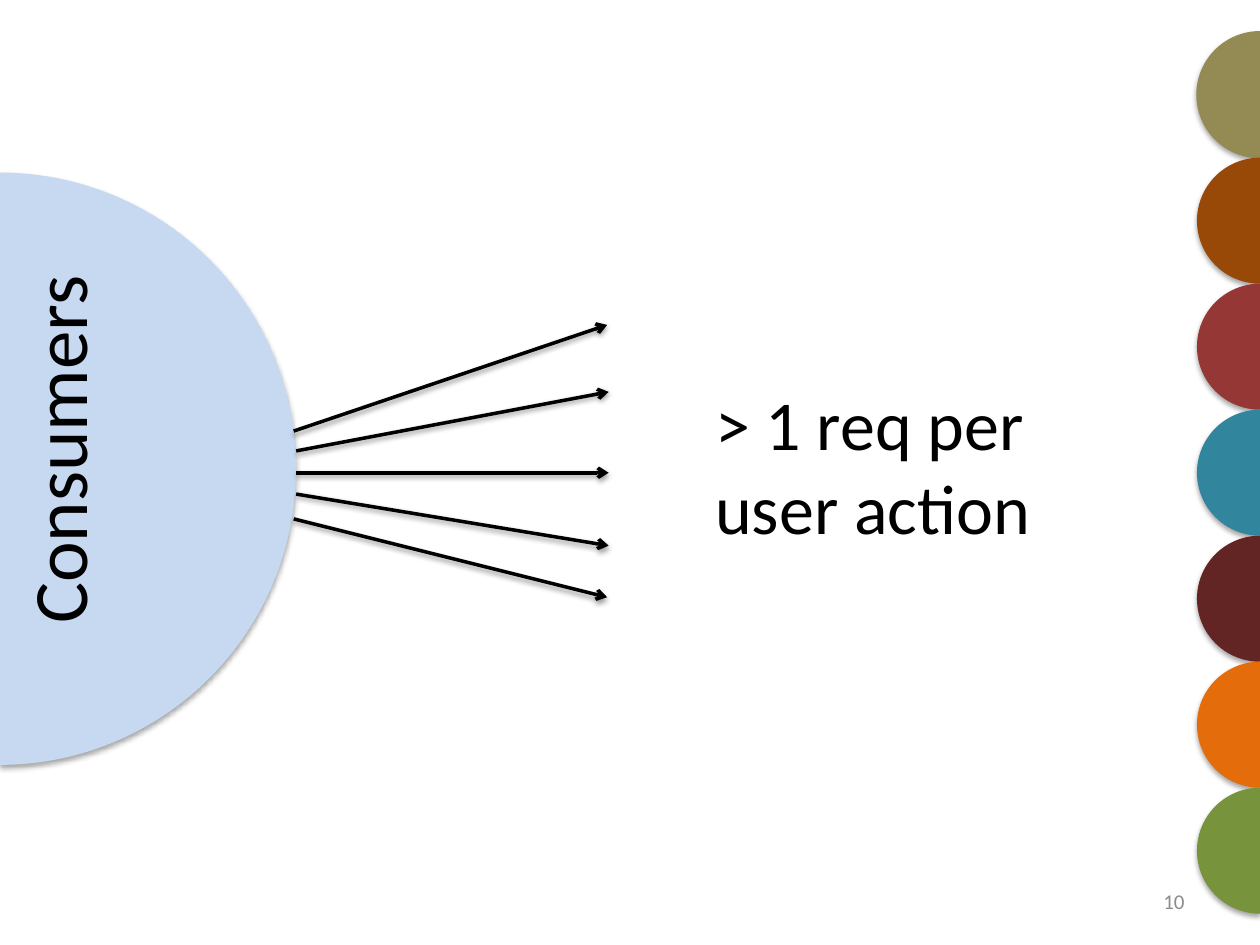
from dataclasses import dataclass

from lxml.etree import SubElement
from pptx import Presentation
from pptx.dml.color import RGBColor
from pptx.enum.shapes import MSO_CONNECTOR, MSO_SHAPE
from pptx.enum.text import MSO_ANCHOR, PP_ALIGN
from pptx.oxml.ns import qn
from pptx.slide import Slide
from pptx.util import Cm, Pt

COLORS = {
    "black": "000000",
    "gray": "8C8C8C",
    "consumers": "C6D9F1",
    "khaki": "948A54",
    "brown": "984807",
    "red": "953735",
    "teal": "31859C",
    "maroon": "632523",
    "orange": "E46C0A",
    "green": "77933C",
}
PRODUCERS = ["khaki", "brown", "red", "teal", "maroon", "orange", "green"]
OUTLINED = "khaki"
DIAMETER = 2.54
DOWN, UP = 54, 162


@dataclass
class HalfDisc:
    left: float
    top: float
    size: float
    start: float
    end: float
    color: str
    outlined: bool = False


@dataclass
class Arrow:
    x1: float
    y1: float
    x2: float
    y2: float


@dataclass
class Label:
    text: str
    left: float
    top: float
    width: float
    height: float
    size: int
    color: str = "black"
    align: PP_ALIGN = PP_ALIGN.LEFT
    anchor: MSO_ANCHOR = MSO_ANCHOR.TOP
    wrap: bool = True
    vert: str = "horz"


ARROWS = [
    Arrow(5.92, 8.69, 12.24, 6.55),
    Arrow(5.97, 9.09, 12.27, 7.9),
    Arrow(5.97, 9.53, 12.27, 9.53),
    Arrow(5.97, 9.96, 12.27, 11),
    Arrow(5.92, 10.46, 12.24, 12.04),
]
LABELS = [
    Label("Consumers", 0.08, 5.46, 2.39, 7.37, 44, wrap=False, vert="vert270"),
    Label("> 1 req per user action", 14.17, 7.54, 7.19, 3.68, 40),
    Label("10", 18.21, 17.65, 5.92, 1.02, 12, "gray",
          PP_ALIGN.RIGHT, MSO_ANCHOR.MIDDLE),
]


def rgb(name: str) -> RGBColor:
    return RGBColor.from_string(COLORS[name])


def add_shadow(sp, dist: float, alpha: int) -> None:
    effects = SubElement(sp._element.spPr, qn("a:effectLst"))
    shadow = SubElement(effects, qn("a:outerShdw"), blurRad=str(Pt(3.1)),
                        dist=str(Pt(dist)), dir="5400000", rotWithShape="0")
    color = SubElement(shadow, qn("a:srgbClr"), val=COLORS["black"])
    SubElement(color, qn("a:alpha"), val=str(alpha * 1000))


def draw_half_disc(s: Slide, d: HalfDisc) -> None:
    sp = s.shapes.add_shape(MSO_SHAPE.PIE, Cm(d.left), Cm(d.top),
                            Cm(d.size), Cm(d.size))
    sp.adjustments[0] = d.start
    sp.adjustments[1] = d.end
    sp.fill.solid()
    sp.fill.fore_color.rgb = rgb(d.color)
    if d.outlined:
        sp.line.color.rgb = rgb(d.color)
        sp.line.width = Pt(0.75)
    else:
        sp.line.fill.background()
    add_shadow(sp, 1.8, 35)


def draw_arrow(s: Slide, a: Arrow) -> None:
    sp = s.shapes.add_connector(MSO_CONNECTOR.STRAIGHT, Cm(a.x1), Cm(a.y1),
                                Cm(a.x2), Cm(a.y2))
    sp.line.color.rgb = rgb("black")
    sp.line.width = Pt(2)
    SubElement(sp.line._get_or_add_ln(), qn("a:tailEnd"), type="arrow")
    add_shadow(sp, 1.6, 38)


def draw_label(s: Slide, t: Label) -> None:
    sp = s.shapes.add_textbox(Cm(t.left), Cm(t.top), Cm(t.width), Cm(t.height))
    tf = sp.text_frame
    tf.text = t.text
    tf.word_wrap = t.wrap
    tf.vertical_anchor = t.anchor
    tf._txBody.bodyPr.set("vert", t.vert)
    p = tf.paragraphs[0]
    p.alignment = t.align
    r = p.runs[0]
    r.font.name = "Calibri"
    r.font.size = Pt(t.size)
    r.font.color.rgb = rgb(t.color)


def main() -> None:
    prs = Presentation()
    prs.slide_width, prs.slide_height = Cm(25.4), Cm(19.05)
    s = prs.slides.add_slide(prs.slide_layouts[6])
    draw_half_disc(s, HalfDisc(-5.97, 3.48, 11.94, UP, DOWN, "consumers"))
    for i, color in enumerate(PRODUCERS):
        draw_half_disc(s, HalfDisc(24.13, 0.64 + i * DIAMETER, DIAMETER,
                                   DOWN, UP, color, color == OUTLINED))
    for arrow in ARROWS:
        draw_arrow(s, arrow)
    for label in LABELS:
        draw_label(s, label)
    prs.save("out.pptx")


if __name__ == "__main__":
    main()
